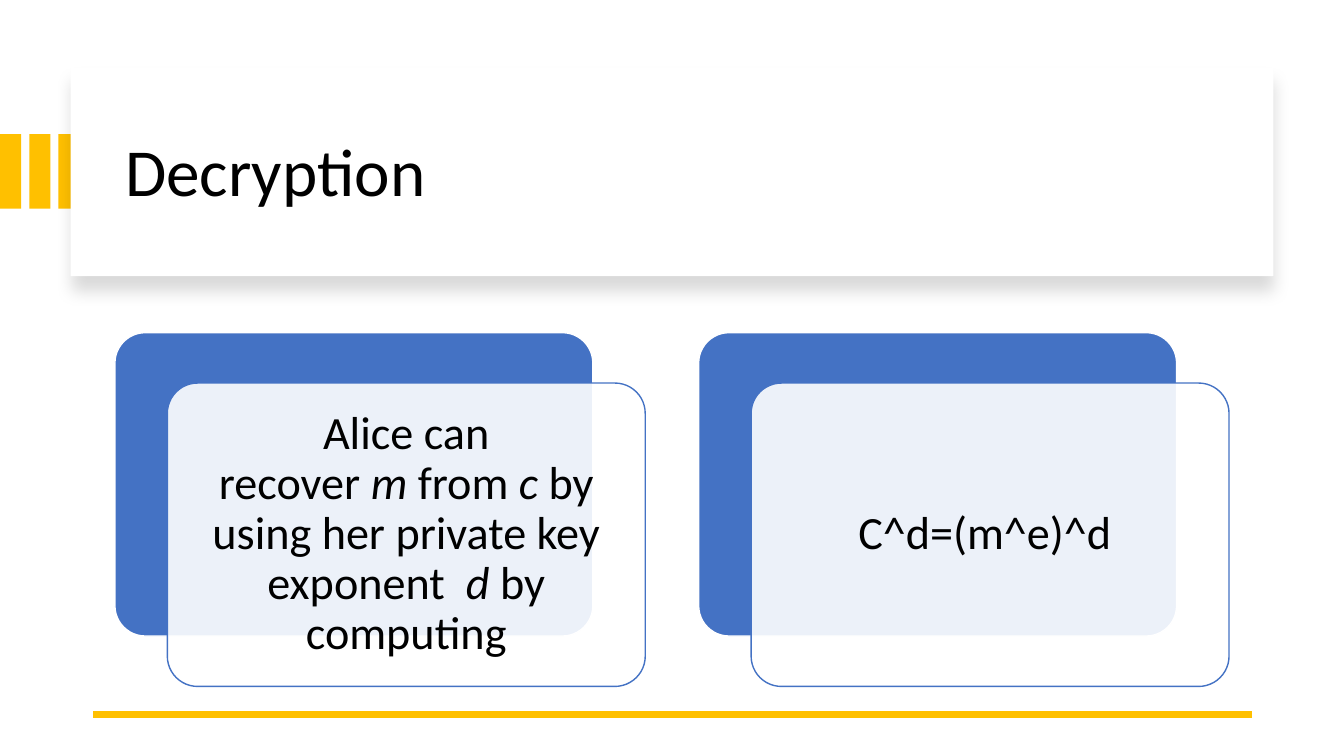
from dataclasses import dataclass

from lxml import etree
from pptx import Presentation
from pptx.dml.color import RGBColor
from pptx.enum.shapes import MSO_CONNECTOR, MSO_SHAPE
from pptx.enum.text import MSO_ANCHOR, MSO_AUTO_SIZE, PP_ALIGN
from pptx.oxml import parse_xml
from pptx.oxml.ns import nsdecls, qn
from pptx.util import Inches, Pt


@dataclass(frozen=True)
class Theme:
    font: str = "Calibri"
    white: str = "FFFFFF"
    black: str = "000000"
    gold: str = "FFC000"
    blue: str = "4472C4"
    title_size: int = 48
    body_size: int = 33
    card_line: float = 1
    rule_line: float = 4.5


THEME = Theme()
CARD_SIZE = (4.74, 3.01)
CARD_OFFSET = (0.52, 0.5)
TEXT_MARGIN = 0.09
CARD_TOP = 3.3
CARD_LEFT = 1.14
CARD_PITCH = 5.79
HARD_SPACE = chr(160)
CARDS = [
    [
        (f"Alice can recover{HARD_SPACE}", False),
        ("m", True),
        (f"{HARD_SPACE}from{HARD_SPACE}", False),
        ("c", True),
        (f"{HARD_SPACE}by using her private key exponent{HARD_SPACE} ", False),
        ("d", True),
        (f"{HARD_SPACE}by computing", False),
    ],
    [("C^d=(m^e)^d ", False)],
]


def rgb(color):
    return RGBColor.from_string(color)


def style_run(run, size, italic=False):
    run.font.name = THEME.font
    run.font.size = Pt(size)
    run.font.italic = italic
    run.font.color.rgb = rgb(THEME.black)


def add_box(slide, kind, left, top, width, height, fill, line=None):
    shape = slide.shapes.add_shape(
        kind, Inches(left), Inches(top), Inches(width), Inches(height)
    )
    shape.shadow.inherit = False
    shape.fill.solid()
    shape.fill.fore_color.rgb = rgb(fill)
    if line:
        shape.line.color.rgb = rgb(line)
        shape.line.width = Pt(THEME.card_line)
    else:
        shape.line.fill.background()
    return shape


def add_round_box(slide, left, top, fill, line):
    shape = add_box(
        slide, MSO_SHAPE.ROUNDED_RECTANGLE, left, top, *CARD_SIZE, fill, line
    )
    shape.adjustments[0] = 0.1
    return shape


def set_opacity(shape, percent):
    color = shape.element.spPr.find(f"{qn('a:solidFill')}/{qn('a:srgbClr')}")
    etree.SubElement(color, qn("a:alpha"), val=str(percent * 1000))


def add_soft_shadow(shape):
    effects = shape.element.spPr.find(qn("a:effectLst"))
    effects.append(parse_xml(
        f'<a:outerShdw {nsdecls("a")} blurRad="{Pt(11)}" dist="{Pt(10)}" '
        f'dir="5400000" algn="t" rotWithShape="0"><a:srgbClr val="{THEME.black}">'
        '<a:alpha val="15000"/></a:srgbClr></a:outerShdw>'
    ))


def add_title(slide, text):
    for index in range(3):
        add_box(slide, MSO_SHAPE.RECTANGLE, index * 0.29, 1.33, 0.21, 0.74, THEME.gold)
    panel = add_box(slide, MSO_SHAPE.RECTANGLE, 0.7, 0.67, 11.93, 2.07, THEME.white)
    add_soft_shadow(panel)

    title = slide.shapes.title
    panel.element.addnext(title.element)
    title.left, title.top = Inches(1.14), Inches(0.88)
    title.width, title.height = Inches(11.13), Inches(1.7)
    frame = title.text_frame
    frame.text = text
    frame.auto_size = MSO_AUTO_SIZE.NONE
    frame.vertical_anchor = MSO_ANCHOR.MIDDLE
    paragraph = frame.paragraphs[0]
    paragraph.alignment = PP_ALIGN.LEFT
    paragraph.line_spacing = 0.9
    style_run(paragraph.runs[0], THEME.title_size)


def add_rule(slide):
    rule = slide.shapes.add_connector(
        MSO_CONNECTOR.STRAIGHT, Inches(12.42), Inches(7.09), Inches(0.92), Inches(7.09)
    )
    rule.line.color.rgb = rgb(THEME.gold)
    rule.line.width = Pt(THEME.rule_line)
    etree.SubElement(rule.element.spPr, qn("a:effectLst"))


def add_card_text(slide, left, top, pieces):
    width, height = (side - 2 * TEXT_MARGIN for side in CARD_SIZE)
    text_box = slide.shapes.add_textbox(
        Inches(left + TEXT_MARGIN), Inches(top + TEXT_MARGIN),
        Inches(width), Inches(height),
    )
    frame = text_box.text_frame
    frame.word_wrap = True
    frame.vertical_anchor = MSO_ANCHOR.MIDDLE
    frame.margin_left = frame.margin_right = Inches(0.14)
    frame.margin_top = frame.margin_bottom = Inches(0.14)
    paragraph = frame.paragraphs[0]
    paragraph.alignment = PP_ALIGN.CENTER
    paragraph.line_spacing = 0.9
    for text, italic in pieces:
        run = paragraph.add_run()
        run.text = text
        style_run(run, THEME.body_size, italic)


def add_card(slide, left, pieces):
    add_round_box(slide, left, CARD_TOP, THEME.blue, THEME.white)
    front_left, front_top = left + CARD_OFFSET[0], CARD_TOP + CARD_OFFSET[1]
    front = add_round_box(slide, front_left, front_top, THEME.white, THEME.blue)
    set_opacity(front, 90)
    add_card_text(slide, front_left, front_top, pieces)


def main():
    presentation = Presentation()
    presentation.slide_width = Inches(13.33)
    presentation.slide_height = Inches(7.5)
    slide = presentation.slides.add_slide(presentation.slide_layouts[5])
    add_title(slide, "Decryption")
    add_rule(slide)
    for index, pieces in enumerate(CARDS):
        add_card(slide, CARD_LEFT + index * CARD_PITCH, pieces)
    presentation.save("out.pptx")


if __name__ == "__main__":
    main()
